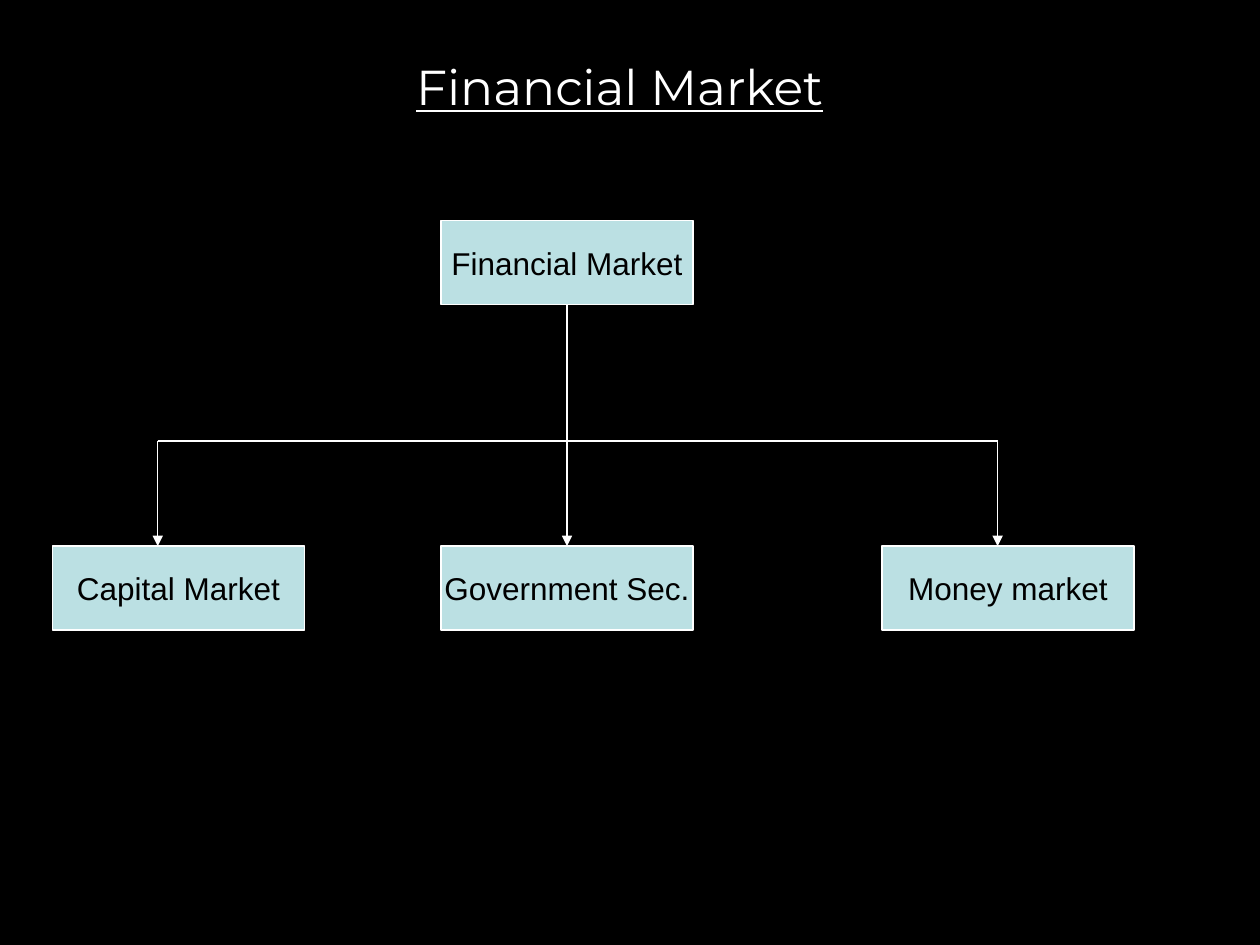
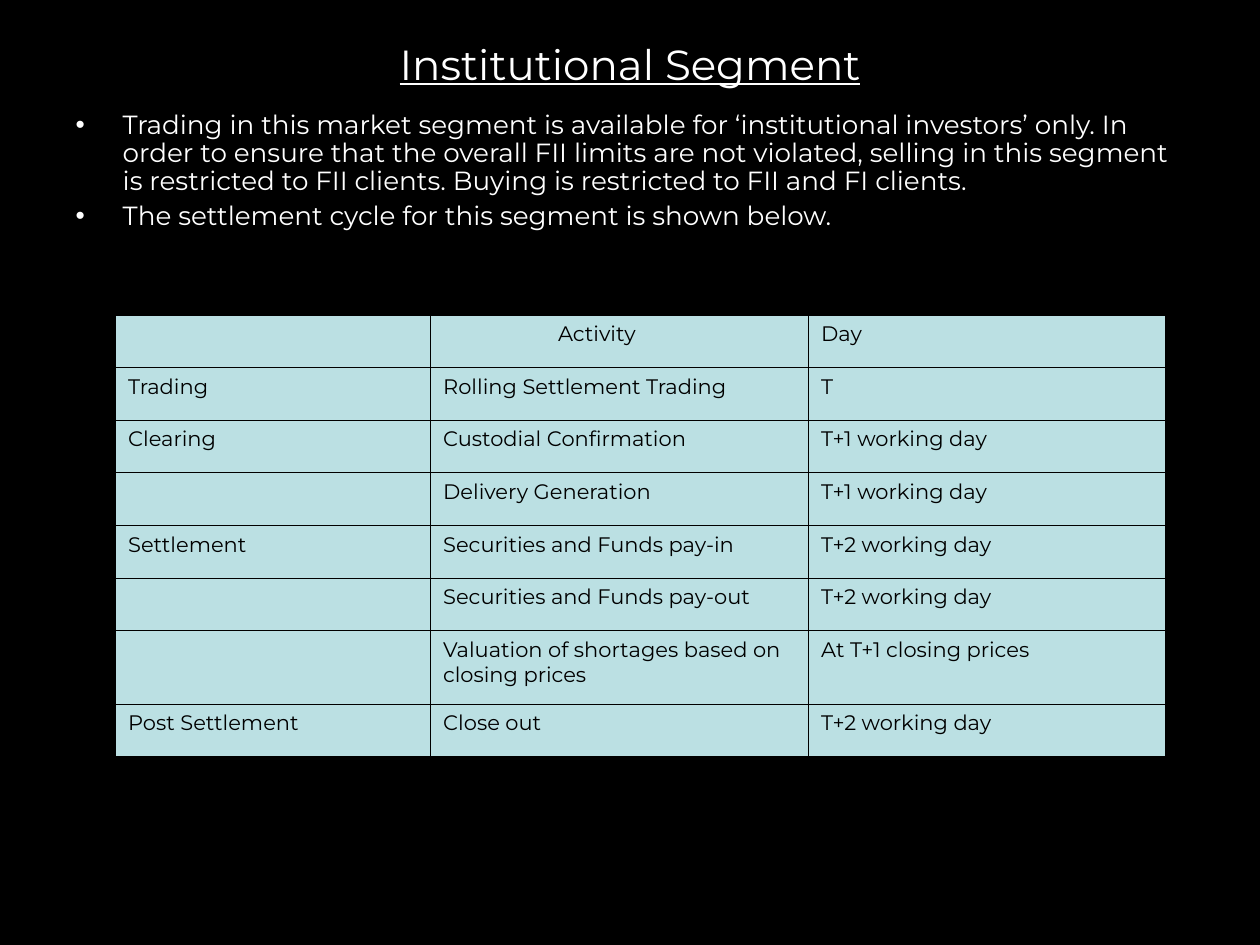
from lxml.etree import SubElement
from pptx import Presentation
from pptx.dml.color import RGBColor
from pptx.enum.shapes import MSO_CONNECTOR, MSO_SHAPE
from pptx.enum.text import MSO_ANCHOR, MSO_AUTO_SIZE, PP_ALIGN
from pptx.oxml.ns import qn
from pptx.util import Cm, Pt

ROOT_MARKET = "Financial Market"
BRANCHES = [
    ("Capital Market", 1.06, 3.18),
    ("Government Sec.", 8.89, 11.43),
    ("Money market", 17.78, 20.11),
]
BULLETS = [
    "Trading in this market segment is available for ‘institutional investors’ only. "
    "In order to ensure that the overall FII limits are not violated, selling in this "
    "segment is restricted to FII clients. Buying is restricted to FII and FI clients.",
    "The settlement cycle for this segment is shown below.",
]
SETTLEMENT_CYCLE = [
    ("", "Activity", "Day"),
    ("Trading", "Rolling Settlement Trading", "T"),
    ("Clearing", "Custodial Confirmation", "T+1 working day"),
    ("", "Delivery Generation", "T+1 working day"),
    ("Settlement", "Securities and Funds pay-in", "T+2 working day"),
    ("", "Securities and Funds pay-out", "T+2 working day"),
    ("", "Valuation of shortages based on closing prices", "At T+1 closing prices"),
    ("Post Settlement", "Close out", "T+2 working day"),
]

BLACK = RGBColor(0x00, 0x00, 0x00)
WHITE = RGBColor(0xFF, 0xFF, 0xFF)
PALE_TEAL = RGBColor(0xBB, 0xE0, 0xE3)
SLIDE_FONT = "Montserrat"
BOX_FONT = "Arial"

TITLE_ONLY, TITLE_AND_CONTENT = 5, 1
TOP, BOTTOM = 0, 2
BOX_WIDTH, BOX_HEIGHT = 5.08, 1.69
ROOT_LEFT, ROOT_TOP = 8.89, 4.45
BUS_TOP, BRANCH_TOP = 8.89, 11.01
COLUMN_WIDTHS = [6.35, 7.62, 7.2]
ROW_HEIGHT, TALL_ROW_HEIGHT, TALL_ROW = 1.06, 1.48, 6
ACTIVITY_INDENT = 2.57
OUTER_BORDER, INNER_BORDER = 1.08, 0.45


def set_font(para, name, size, color):
    para.font.name = name
    para.font.size = Pt(size)
    para.font.color.rgb = color


def place(shape, left, top, width, height):
    shape.left, shape.top = Cm(left), Cm(top)
    shape.width, shape.height = Cm(width), Cm(height)


def add_page(deck, layout, title, size, area):
    page = deck.slides.add_slide(deck.slide_layouts[layout])
    heading = page.shapes.title
    place(heading, *area)
    frame = heading.text_frame
    frame.text = title
    frame.auto_size = MSO_AUTO_SIZE.NONE
    frame.vertical_anchor = MSO_ANCHOR.MIDDLE
    para = frame.paragraphs[0]
    para.alignment = PP_ALIGN.CENTER
    set_font(para, SLIDE_FONT, size, WHITE)
    para.font.underline = True
    return page


def add_market_box(page, label, left, top):
    box = page.shapes.add_shape(
        MSO_SHAPE.RECTANGLE, Cm(left), Cm(top), Cm(BOX_WIDTH), Cm(BOX_HEIGHT))
    box.shadow.inherit = False
    box.fill.solid()
    box.fill.fore_color.rgb = PALE_TEAL
    box.line.color.rgb = WHITE
    box.line.width = Pt(0.75)
    frame = box.text_frame
    frame.text = label
    frame.word_wrap = False
    frame.vertical_anchor = MSO_ANCHOR.MIDDLE
    para = frame.paragraphs[0]
    para.alignment = PP_ALIGN.CENTER
    set_font(para, BOX_FONT, 18, BLACK)
    return box


def add_line(page, start, end, arrow=False):
    line = page.shapes.add_connector(
        MSO_CONNECTOR.STRAIGHT, *(Cm(value) for value in start + end))
    line.line.color.rgb = WHITE
    line.line.width = Pt(0.75)
    properties = line._element.spPr
    if arrow:
        SubElement(properties.find(qn("a:ln")), qn("a:tailEnd"), type="triangle")
    SubElement(properties, qn("a:effectLst"))
    return line


def add_market_tree(page):
    root = add_market_box(page, ROOT_MARKET, ROOT_LEFT, ROOT_TOP)
    root_center = ROOT_LEFT + BOX_WIDTH / 2
    trunk = add_line(page, (root_center, ROOT_TOP + BOX_HEIGHT), (root_center, BUS_TOP))
    trunk.begin_connect(root, BOTTOM)
    add_line(page, (BRANCHES[0][2], BUS_TOP), (BRANCHES[-1][2], BUS_TOP))
    for label, left, arrow_left in BRANCHES:
        box = add_market_box(page, label, left, BRANCH_TOP)
        arrow = add_line(page, (arrow_left, BUS_TOP), (arrow_left, BRANCH_TOP), arrow=True)
        if arrow_left == root_center:
            arrow.end_connect(box, TOP)


def fill_bullets(body):
    place(body, 1.27, 2.12, 22.86, 3.39)
    frame = body.text_frame
    frame.text = "\n".join(BULLETS)
    frame.auto_size = MSO_AUTO_SIZE.NONE
    for para in frame.paragraphs:
        para.line_spacing = 0.9
        para.space_before = Pt(3.7)
        set_font(para, SLIDE_FONT, 15, WHITE)
        properties = para._p.get_or_add_pPr()
        properties.set("marL", str(Cm(0.95)))
        properties.set("indent", str(Cm(-0.95)))


def set_borders(cell, widths):
    properties = cell._tc.get_or_add_tcPr()
    for side, width in widths.items():
        border = SubElement(properties, qn(f"a:ln{side}"), w=str(Pt(width)))
        fill = SubElement(border, qn("a:solidFill"))
        SubElement(fill, qn("a:srgbClr"), val=str(BLACK))


def add_settlement_table(page):
    row_count, column_count = len(SETTLEMENT_CYCLE), len(COLUMN_WIDTHS)
    heights = [ROW_HEIGHT] * row_count
    heights[TALL_ROW] = TALL_ROW_HEIGHT
    table = page.shapes.add_table(
        row_count, column_count, Cm(2.33), Cm(6.35),
        Cm(sum(COLUMN_WIDTHS)), Cm(sum(heights))).table
    table.first_row = False
    table.horz_banding = False
    for column, width in zip(table.columns, COLUMN_WIDTHS):
        column.width = Cm(width)
    for row_index, (row, height) in enumerate(zip(table.rows, heights)):
        row.height = Cm(height)
        for column_index, text in enumerate(SETTLEMENT_CYCLE[row_index]):
            cell = table.cell(row_index, column_index)
            outer_sides = {
                "L": column_index == 0,
                "R": column_index == column_count - 1,
                "T": row_index == 0,
                "B": row_index == row_count - 1,
            }
            set_borders(cell, {side: OUTER_BORDER if outer else INNER_BORDER
                               for side, outer in outer_sides.items()})
            cell.fill.solid()
            cell.fill.fore_color.rgb = PALE_TEAL
            cell.text = text
            para = cell.text_frame.paragraphs[0]
            para.space_before = Pt(3)
            set_font(para, SLIDE_FONT, 12, BLACK)
    table.cell(0, 1).margin_left = Cm(ACTIVITY_INDENT)


def main():
    deck = Presentation()
    deck.slide_width, deck.slide_height = Cm(25.4), Cm(19.05)
    background = deck.slide_master.background.fill
    background.solid()
    background.fore_color.rgb = BLACK

    market_page = add_page(
        deck, TITLE_ONLY, "Financial Market", 28, (1.06, 0.43, 22.86, 2.62))
    add_market_tree(market_page)

    segment_page = add_page(
        deck, TITLE_AND_CONTENT, "Institutional Segment", 24, (1.27, 0.64, 22.86, 1.27))
    fill_bullets(segment_page.placeholders[1])
    add_settlement_table(segment_page)

    deck.save("out.pptx")


if __name__ == "__main__":
    main()
